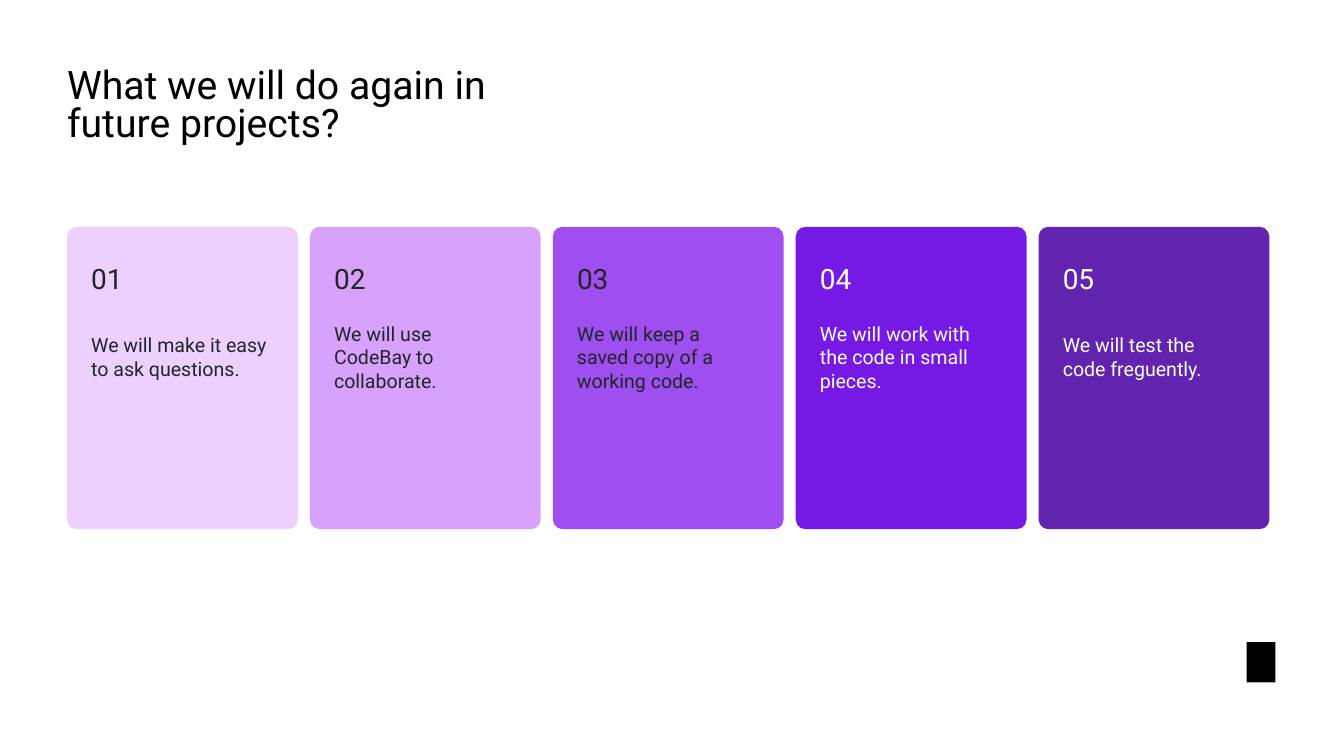
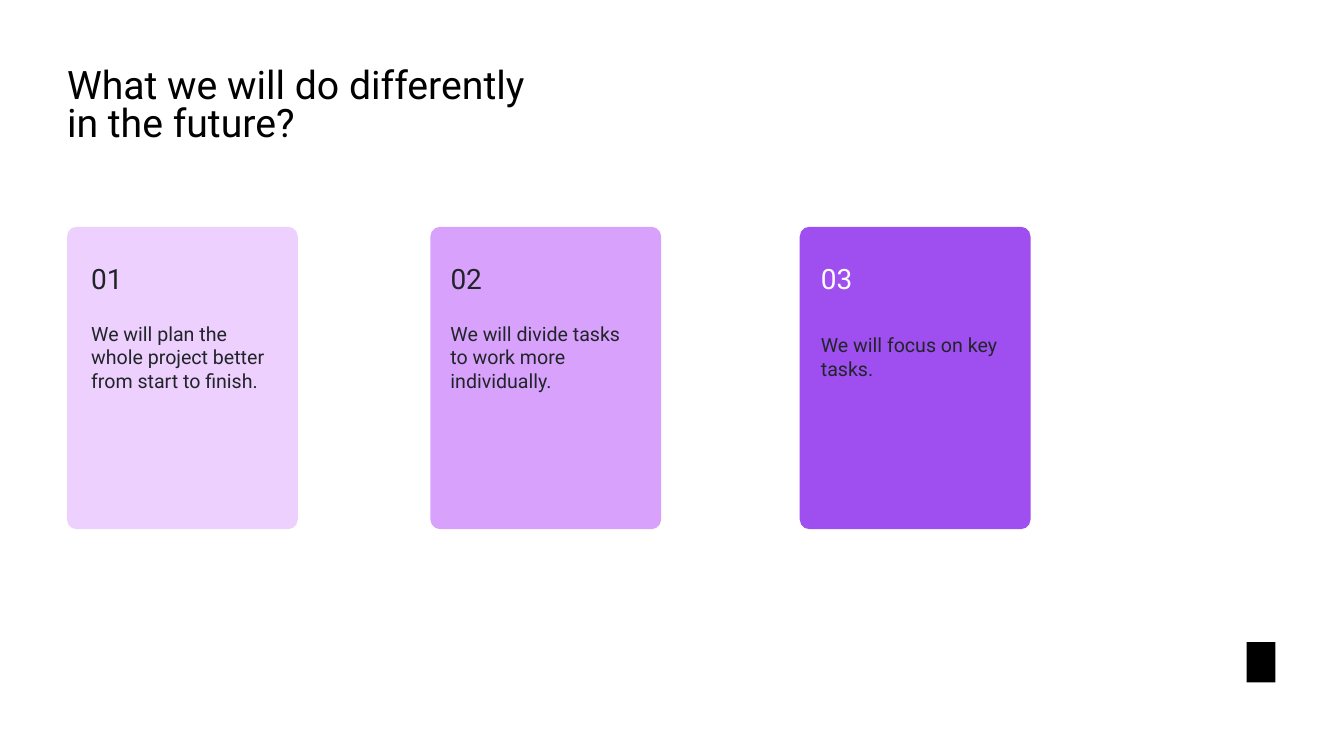
from pptx import Presentation
from pptx.dml.color import RGBColor
from pptx.enum.shapes import MSO_SHAPE as Shape
from pptx.enum.text import MSO_ANCHOR as Anchor, MSO_AUTO_SIZE as AutoSize, PP_ALIGN as Align
from pptx.util import Inches, Pt

FONT = "Roboto"
BLACK, INK, WHITE = "000000", "212529", "FFFFFF"
PURPLES = ["EDD0FE", "D8A2FC", "9F4FEF", "7519E5", "6223AE"]
CARD_LEFT, CARD_TOP, CARD_WIDTH, CARD_HEIGHT = 1.33, 4.5, 4.58, 6
CARD_PITCH = 4.82
MESSAGE_MIDDLE = 7.08
MESSAGE_HEIGHTS = {2: 1.05, 3: 1.53}

AGAIN = [
    ("We will make it easy to ask questions.", 2, INK),
    ("We will use CodeBay to collaborate.", 2, INK),
    ("We will keep a saved copy of a working code.", 3, INK),
    ("We will work with the code in small pieces.", 3, WHITE),
    ("We will test the code freguently.", 2, WHITE),
]
DIFFERENTLY = [
    (1.33, 0.42, "We will plan the whole project better from start to finish.", 3, INK),
    (8.54, 0.34, "We will divide tasks to work more individually.", 3, INK),
    (15.87, 0.36, "We will focus on key tasks.", 2, WHITE),
]


def color(value):
    return RGBColor.from_string(value)


class Deck:
    """Holds the shared style and the slide being built."""

    def __init__(self):
        self.prs = Presentation()
        self.prs.slide_width, self.prs.slide_height = Inches(26.67), Inches(15)
        self.slide = None

    def block(self, preset, left, top, width, height, fill):
        block = self.slide.shapes.add_shape(
            preset, Inches(left), Inches(top), Inches(width), Inches(height))
        block.shadow.inherit = False
        block.fill.solid()
        block.fill.fore_color.rgb = color(fill)
        block.line.fill.background()
        return block

    def text(self, words, left, top, width, height, size, ink, spacing=None, grow=True):
        box = self.slide.shapes.add_textbox(
            Inches(left), Inches(top), Inches(width), Inches(height))
        frame = box.text_frame
        frame.word_wrap = True
        frame.auto_size = AutoSize.SHAPE_TO_FIT_TEXT if grow else AutoSize.NONE
        frame.vertical_anchor = Anchor.MIDDLE
        frame.margin_left = frame.margin_right = Inches(0.06)
        frame.margin_top = frame.margin_bottom = Inches(0.06)
        frame.text = words
        paragraph = frame.paragraphs[0]
        paragraph.alignment = Align.LEFT
        paragraph.line_spacing = spacing
        font = paragraph.runs[0].font
        font.name, font.size, font.color.rgb = FONT, Pt(size), color(ink)

    def start(self, title):
        self.slide = self.prs.slides.add_slide(self.prs.slide_layouts[6])
        self.slide.background.fill.solid()
        self.slide.background.fill.fore_color.rgb = color(WHITE)
        self.block(Shape.RECTANGLE, 24.74, 12.74, 0.57, 0.8, BLACK)
        self.text(title, 1.27, 1.3, 9.38, 1.66, 56, BLACK, spacing=0.8, grow=False)

    def card(self, index, left, indent, message, lines, number_ink, message_ink):
        panel = self.block(Shape.ROUNDED_RECTANGLE, left, CARD_TOP,
                           CARD_WIDTH, CARD_HEIGHT, PURPLES[index])
        panel.adjustments[0] = 0.042
        self.text(f"{index + 1:02}", left + indent, 5.12, 3.92, 0.79, 40, number_ink)
        height = MESSAGE_HEIGHTS[lines]
        self.text(message, left + indent, MESSAGE_MIDDLE - height / 2,
                  3.67, height, 28, message_ink)


def main():
    deck = Deck()

    deck.start("What we will do again in future projects?")
    for index, (message, lines, ink) in enumerate(AGAIN):
        deck.card(index, CARD_LEFT + index * CARD_PITCH, 0.42, message, lines, ink, ink)

    deck.start("What we will do differently in the future?")
    for index, (left, indent, message, lines, number_ink) in enumerate(DIFFERENTLY):
        deck.card(index, left, indent, message, lines, number_ink, INK)

    deck.prs.save("out.pptx")


if __name__ == "__main__":
    main()
